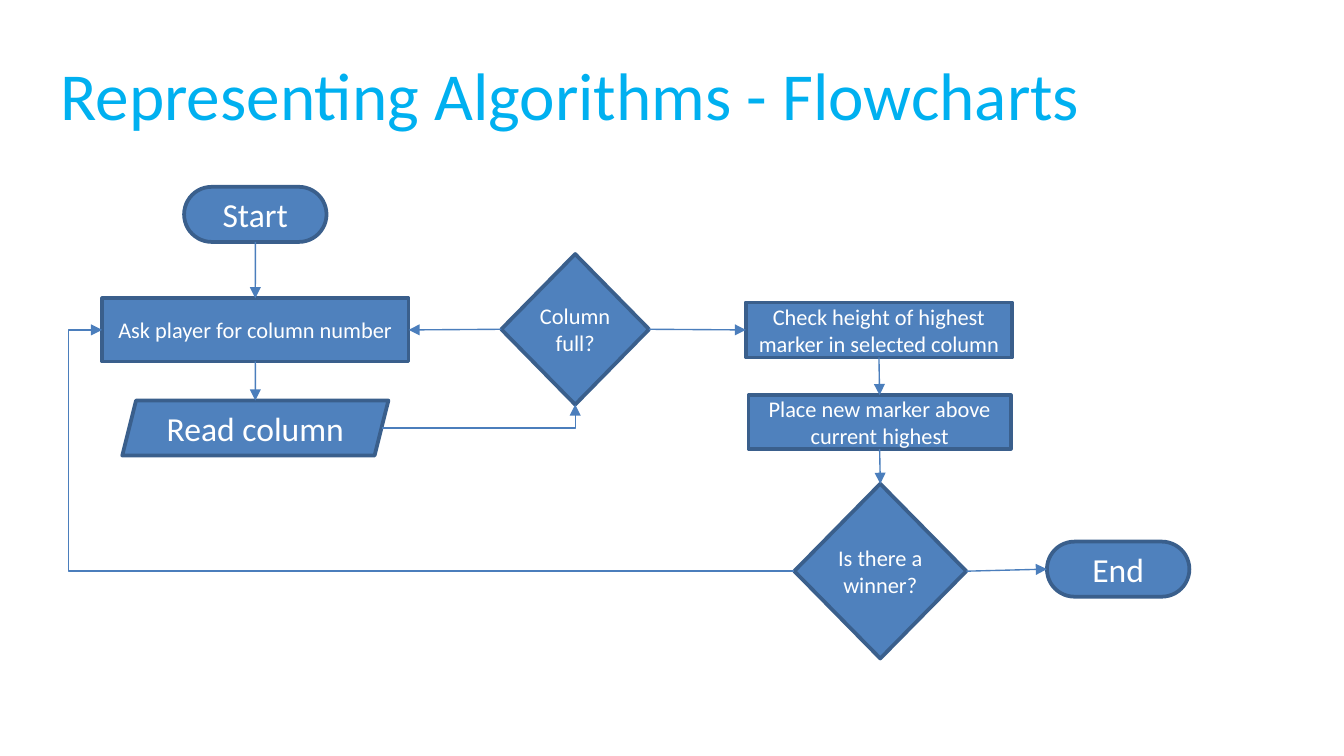
from dataclasses import dataclass

from lxml import etree
from pptx import Presentation
from pptx.dml.color import RGBColor
from pptx.enum import shapes as kinds, text as txt
from pptx.oxml.ns import qn
from pptx.util import Inches, Pt

TOP, LEFT, BOTTOM, RIGHT = range(4)
TERMINAL = kinds.MSO_SHAPE.ROUNDED_RECTANGLE
PROCESS = kinds.MSO_SHAPE.RECTANGLE
INPUT = kinds.MSO_SHAPE.PARALLELOGRAM
DECISION = kinds.MSO_SHAPE.DIAMOND


@dataclass(frozen=True)
class Theme:
    font: str = "Calibri"
    title: RGBColor = RGBColor(0x00, 0xB0, 0xF0)
    fill: RGBColor = RGBColor(0x4F, 0x81, 0xBD)
    outline: RGBColor = RGBColor(0x3A, 0x5F, 0x8C)
    arrow: RGBColor = RGBColor(0x4B, 0x7E, 0xBC)
    label: RGBColor = RGBColor(0xFF, 0xFF, 0xFF)
    title_size: int = 36
    large: int = 18
    small: int = 12
    outline_width: float = 2
    arrow_width: float = 0.75


THEME = Theme()


@dataclass(frozen=True)
class Step:
    label: str
    kind: kinds.MSO_SHAPE
    left: float
    top: float
    width: float
    height: float
    size: int = THEME.small


@dataclass(frozen=True)
class Flow:
    source: str
    source_side: int
    target: str
    target_side: int


STEPS = {
    "start": Step("Start", TERMINAL, 1.37, 1.39, 1.06, 0.41, THEME.large),
    "ask": Step("Ask player for column number", PROCESS, 0.76, 2.22, 2.28, 0.47),
    "read": Step("Read column", INPUT, 0.91, 2.98, 1.98, 0.41, THEME.large),
    "full": Step("Column full?", DECISION, 3.73, 1.89, 1.1, 1.12),
    "check": Step("Check height of highest marker in selected column",
                  PROCESS, 5.55, 2.25, 1.98, 0.41),
    "place": Step("Place new marker above current highest",
                  PROCESS, 5.57, 2.94, 1.95, 0.4),
    "winner": Step("Is there a winner?", DECISION, 5.91, 3.6, 1.28, 1.3),
    "end": Step("End", TERMINAL, 7.79, 4.03, 1.06, 0.41, THEME.large),
}

STRAIGHT_FLOWS = [
    Flow("start", BOTTOM, "ask", TOP),
    Flow("ask", BOTTOM, "read", TOP),
    Flow("full", LEFT, "ask", RIGHT),
    Flow("full", RIGHT, "check", LEFT),
    Flow("check", BOTTOM, "place", TOP),
    Flow("place", BOTTOM, "winner", TOP),
    Flow("winner", RIGHT, "end", LEFT),
]


def add_run(paragraph, wording: str, size: int, color: RGBColor) -> None:
    run = paragraph.add_run()
    run.text = wording
    run.font.name = THEME.font
    run.font.size = Pt(size)
    run.font.color.rgb = color


def add_title(slide, wording: str) -> None:
    title = slide.shapes.title
    title.left, title.top = Inches(0.35), Inches(0.23)
    title.width, title.height = Inches(9.15), Inches(0.94)
    title.text_frame.vertical_anchor = txt.MSO_ANCHOR.MIDDLE
    heading = title.text_frame.paragraphs[0]
    heading.alignment = txt.PP_ALIGN.LEFT
    add_run(heading, wording, THEME.title_size, THEME.title)


def add_step(slide, step: Step):
    box = slide.shapes.add_shape(
        step.kind, Inches(step.left), Inches(step.top),
        Inches(step.width), Inches(step.height))
    if step.kind == TERMINAL:
        box.adjustments[0] = 0.5
    box.shadow.inherit = False
    box.fill.solid()
    box.fill.fore_color.rgb = THEME.fill
    box.line.color.rgb = THEME.outline
    box.line.width = Pt(THEME.outline_width)
    frame = box.text_frame
    frame.word_wrap = True
    frame.vertical_anchor = txt.MSO_ANCHOR.MIDDLE
    frame.margin_left = frame.margin_right = 0
    frame.margin_top = frame.margin_bottom = 0
    label = frame.paragraphs[0]
    label.alignment = txt.PP_ALIGN.CENTER
    add_run(label, step.label, step.size, THEME.label)
    return box


def side_middle(step: Step, side: int) -> tuple[float, float]:
    across, down = {TOP: (0.5, 0), LEFT: (0, 0.5),
                    BOTTOM: (0.5, 1), RIGHT: (1, 0.5)}[side]
    x = step.left + across * step.width
    if step.kind == INPUT and side in (LEFT, RIGHT):
        slant = step.height / 8  # half of the default quarter-height slant
        x += slant if side == LEFT else -slant
    return x, step.top + down * step.height


def add_arrow(slide, flow: Flow, kind=kinds.MSO_CONNECTOR.STRAIGHT):
    start = side_middle(STEPS[flow.source], flow.source_side)
    finish = side_middle(STEPS[flow.target], flow.target_side)
    arrow = slide.shapes.add_connector(kind, *map(Inches, start + finish))
    arrow.line.color.rgb = THEME.arrow
    arrow.line.width = Pt(THEME.arrow_width)
    etree.SubElement(arrow.get_or_add_ln(), qn("a:tailEnd"), type="triangle")
    etree.SubElement(arrow._element.spPr, qn("a:effectLst"))
    return arrow


def add_straight_arrow(slide, flow: Flow, boxes: dict) -> None:
    """Draw an arrow and join each end whose step has four side sites."""
    arrow = add_arrow(slide, flow)
    if STEPS[flow.source].kind != INPUT:
        arrow.begin_connect(boxes[flow.source], flow.source_side)
    if STEPS[flow.target].kind != INPUT:
        arrow.end_connect(boxes[flow.target], flow.target_side)


def add_bent_arrows(slide) -> None:
    elbow = kinds.MSO_CONNECTOR.ELBOW
    to_check = add_arrow(slide, Flow("read", RIGHT, "full", BOTTOM), elbow)
    to_check._element.spPr.find(qn("a:prstGeom")).set("prst", "bentConnector2")

    next_turn = add_arrow(slide, Flow("winner", LEFT, "ask", LEFT), elbow)
    guides = next_turn._element.spPr.find(qn("a:prstGeom")).get_or_add_avLst()
    etree.SubElement(guides, qn("a:gd"), name="adj1", fmla="val 104900")


def main() -> None:
    deck = Presentation()
    deck.slide_width = Inches(10)
    deck.slide_height = deck.slide_width * 9 // 16
    slide = deck.slides.add_slide(deck.slide_layouts[5])
    add_title(slide, "Representing Algorithms - Flowcharts")
    boxes = {name: add_step(slide, step) for name, step in STEPS.items()}
    for flow in STRAIGHT_FLOWS:
        add_straight_arrow(slide, flow, boxes)
    add_bent_arrows(slide)
    deck.save("out.pptx")


if __name__ == "__main__":
    main()
